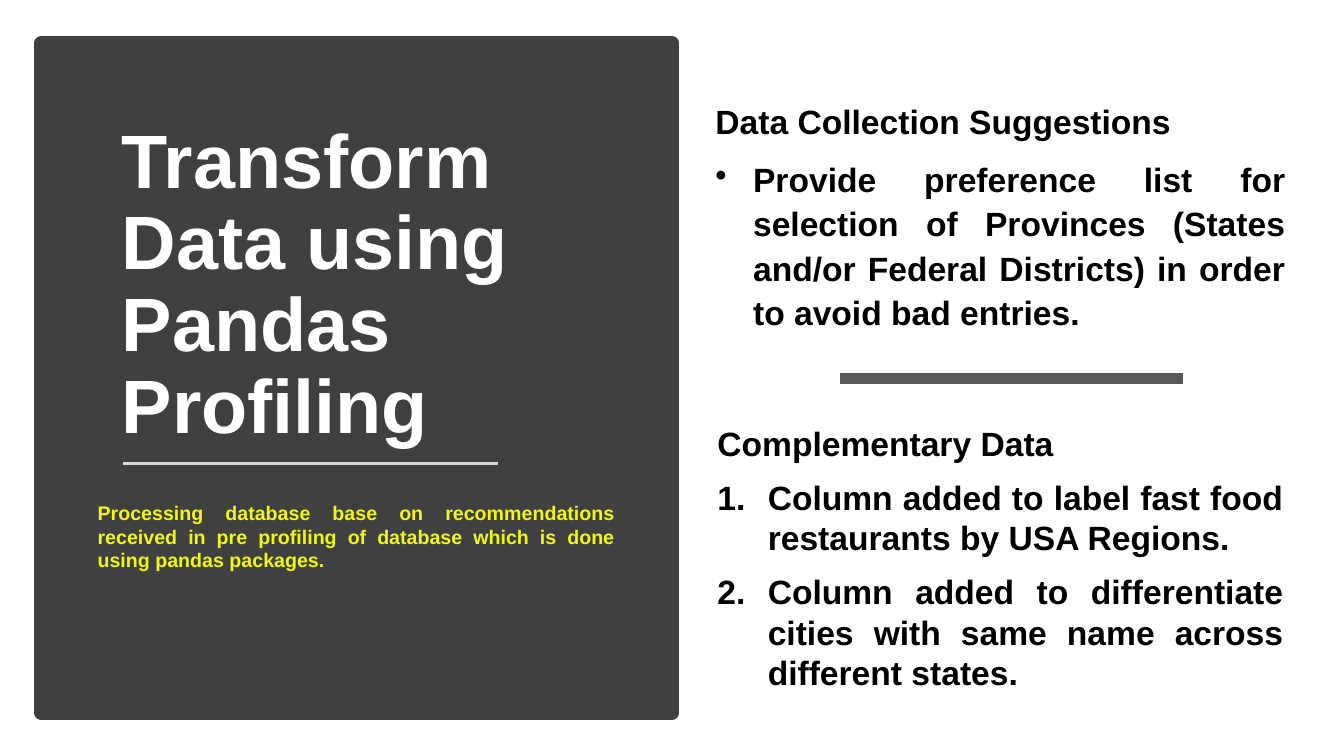
from lxml import etree
from pptx import Presentation
from pptx import util as u
from pptx.dml.color import RGBColor
from pptx.enum import shapes, text
from pptx.oxml import ns

DARK = RGBColor(0x40, 0x40, 0x40)
GREY = RGBColor(0x59, 0x59, 0x59)
PALE = RGBColor(0xD9, 0xD9, 0xD9)
LIME = RGBColor(0xF1, 0xF9, 0x12)
WHITE = RGBColor(0xFF, 0xFF, 0xFF)
BLACK = RGBColor(0, 0, 0)

LEFT = text.PP_ALIGN.LEFT
JUST = text.PP_ALIGN.JUSTIFY
TOP = text.MSO_ANCHOR.TOP
BASE = text.MSO_ANCHOR.BOTTOM

PANEL = (1.04, 1.09, 15.9, 16.87)
NUM = ("buAutoNum", {"type": "arabicPeriod"}, 1.27)
DOT = ("buChar", {"char": "•"}, 0.95)

BLOCKS = [
    {"at": (2.82, 2.92, 12.4, 8.53), "anchor": BASE, "size": 54, "color": WHITE,
     "para": {"alignment": LEFT, "line_spacing": 0.9},
     "lines": [("Transform Data using Pandas Profiling", None)]},
    {"at": (2.21, 12.5, 13.54, 4.19), "anchor": TOP, "size": 14, "color": LIME,
     "para": {"alignment": JUST, "space_before": u.Pt(10)},
     "lines": [("Processing database base on recommendations received in pre "
                "profiling of database which is done using pandas packages.", None)]},
    {"at": (17.83, 10.52, 14.76, 7.62), "anchor": TOP, "size": 24, "color": BLACK,
     "fill": WHITE,
     "para": {"alignment": JUST, "space_before": u.Pt(10)},
     "lines": [("Complementary Data", None),
               ("Column added to label fast food restaurants by USA Regions.", NUM),
               ("Column added to differentiate cities with same name across "
                "different states.", NUM)]},
    {"at": (17.78, 2.31, 14.86, 6.81), "anchor": TOP, "size": 24, "color": BLACK,
     "fill": WHITE,
     "para": {"alignment": JUST, "space_before": u.Pt(10), "line_spacing": 1.1},
     "lines": [("Data Collection Suggestions", None),
               ("Provide preference list for selection of Provinces (States and/or "
                "Federal Districts) in order to avoid bad entries.", DOT)]},
]

RULES = [
    (21.18, 29.82, 9.53, GREY, 8),
    (3.1, 12.55, 11.68, PALE, 1.75),
]


def put(obj, vals):
    for key, val in vals.items():
        setattr(obj, key, val)


def box(slide, at, fill=None):
    dims = [u.Cm(n) for n in at]
    if fill is None:
        return slide.shapes.add_textbox(*dims)
    rect = slide.shapes.add_shape(shapes.MSO_SHAPE.RECTANGLE, *dims)
    rect.shadow.inherit = False
    rect.fill.solid()
    rect.fill.fore_color.rgb = fill
    rect.line.fill.background()
    return rect


def mark(para, tag, attrs, gap):
    props = para._p.get_or_add_pPr()
    props.set("marL", str(u.Cm(gap)))
    props.set("indent", str(-u.Cm(gap)))
    etree.SubElement(props, ns.qn("a:" + tag), attrs)


def write(slide, block):
    frame = box(slide, block["at"], block.get("fill")).text_frame
    put(frame, {"word_wrap": True, "vertical_anchor": block["anchor"]})
    for i, (words, sign) in enumerate(block["lines"]):
        para = frame.add_paragraph() if i else frame.paragraphs[0]
        put(para, block["para"])
        run = para.add_run()
        run.text = words
        put(run.font, {"name": "Arial", "size": u.Pt(block["size"]), "bold": True})
        run.font.color.rgb = block["color"]
        if sign:
            mark(para, *sign)


def rule(slide, start, end, y, color, width):
    line = slide.shapes.add_connector(
        shapes.MSO_CONNECTOR.STRAIGHT, u.Cm(start), u.Cm(y), u.Cm(end), u.Cm(y))
    line.line.color.rgb = color
    line.line.width = u.Pt(width)
    etree.SubElement(line._element.spPr, ns.qn("a:effectLst"))


def main():
    deck = Presentation()
    put(deck, {"slide_width": u.Cm(33.87), "slide_height": u.Cm(19.05)})
    slide = deck.slides.add_slide(deck.slide_layouts[6])
    panel = box(slide, PANEL, DARK)
    panel.line.color.rgb = DARK
    panel.line.width = u.Pt(10)
    for block in BLOCKS:
        write(slide, block)
    for item in RULES:
        rule(slide, *item)
    deck.save("out.pptx")


if __name__ == "__main__":
    main()
